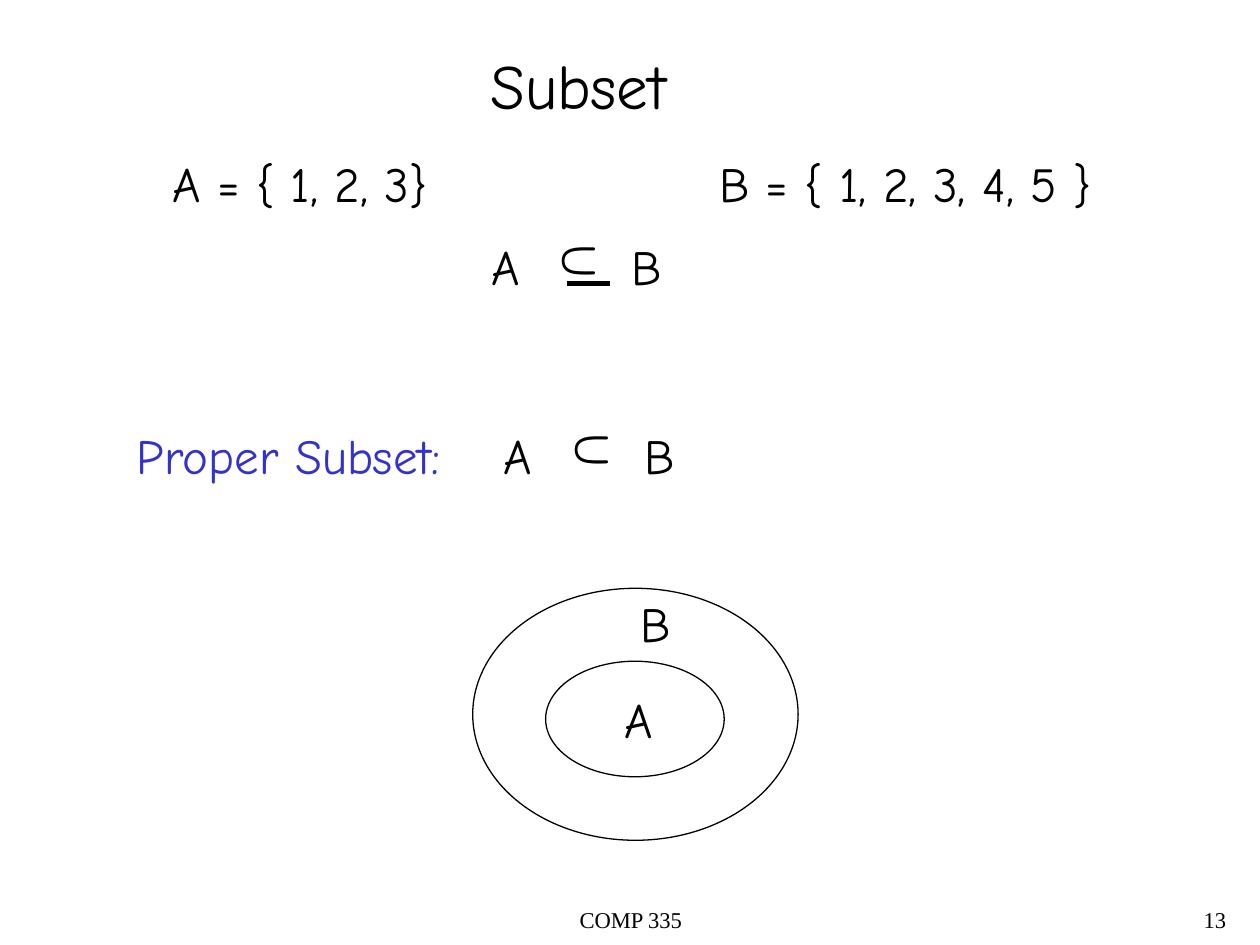
"""Build the slide on subsets and proper subsets."""
from lxml import etree
from pptx import Presentation
from pptx import util as u
from pptx.dml.color import RGBColor
from pptx.enum import shapes, text
from pptx.oxml.ns import qn

BLACK = RGBColor(0x00, 0x00, 0x00)
BLUE = RGBColor(0x33, 0x33, 0xCC)
BODY = "Comic Neue"
FOOTER = "Times New Roman"


class Board:
    def __init__(self, prs):
        self.s = prs.slides.add_slide(prs.slide_layouts[6])
        self.line_color = BLACK

    def text(self, content, x, y, w, h=1.45, *, size=28, font=BODY, color=BLACK,
             align=text.PP_ALIGN.LEFT, spacing=None, tab=None, rotation=0):
        sp = self.s.shapes.add_textbox(u.Cm(x), u.Cm(y), u.Cm(w), u.Cm(h))
        sp.rotation = rotation
        tf = sp.text_frame
        tf.word_wrap = tab is not None
        p = tf.paragraphs[0]
        if tab is not None:
            tabs = etree.SubElement(p._p.get_or_add_pPr(), qn("a:tabLst"))
            etree.SubElement(tabs, qn("a:tab"), pos=str(u.Cm(tab)), algn="l")
        p.alignment = align
        p.line_spacing = spacing
        r = p.add_run()
        r.text = content
        r.font.size = u.Pt(size)
        r.font.name = font
        r.font.color.rgb = color

    def ellipse(self, x, y, w, h):
        sp = self.s.shapes.add_shape(
            shapes.MSO_SHAPE.OVAL, u.Cm(x), u.Cm(y), u.Cm(w), u.Cm(h))
        sp.shadow.inherit = False
        sp.fill.background()
        sp.line.color.rgb = self.line_color
        sp.line.width = u.Pt(0.75)

    def line(self, x1, y1, x2, y2, width):
        sp = self.s.shapes.add_connector(
            shapes.MSO_CONNECTOR.STRAIGHT, u.Cm(x1), u.Cm(y1), u.Cm(x2), u.Cm(y2))
        sp.line.color.rgb = self.line_color
        sp.line.width = u.Pt(width)
        etree.SubElement(sp._element.spPr, qn("a:effectLst"))

    def relation(self, x, y):
        self.text("A\tB", x, y, 4.2, tab=2.84)
        self.text("U", x + 1.48, y - 0.1, 1.19, rotation=90)


def main():
    prs = Presentation()
    prs.slide_width, prs.slide_height = u.Cm(25.4), u.Cm(19.05)
    board = Board(prs)

    footer = dict(size=12.9, font=FOOTER, spacing=0.9)
    board.text("COMP 335", 8.69, 18.21, 8.05, 0.84,
               align=text.PP_ALIGN.CENTER, **footer)
    board.text("13", 19.69, 18.21, 5.28, 0.84,
               align=text.PP_ALIGN.RIGHT, **footer)

    board.text("Subset", 9.63, 0.81, 4.06, 1.78, size=36,
               align=text.PP_ALIGN.CENTER)
    board.text("A = { 1, 2, 3}\tB = { 1, 2, 3, 4, 5 }", 3.23, 2.97, 19.5, tab=11.02)
    board.relation(9.65, 4.65)
    board.line(11.43, 5.72, 12.29, 5.72, 3)

    board.text("Proper Subset:", 2.51, 8.46, 6.65, color=BLUE)
    board.relation(9.91, 8.46)

    board.ellipse(11, 13.33, 3.6, 2.33)
    board.ellipse(9.53, 11.86, 6.56, 5.08)
    board.text("A", 12.34, 13.77, 1.07)
    board.text("B", 12.67, 11.84, 1.12)

    prs.save("out.pptx")


if __name__ == "__main__":
    main()
